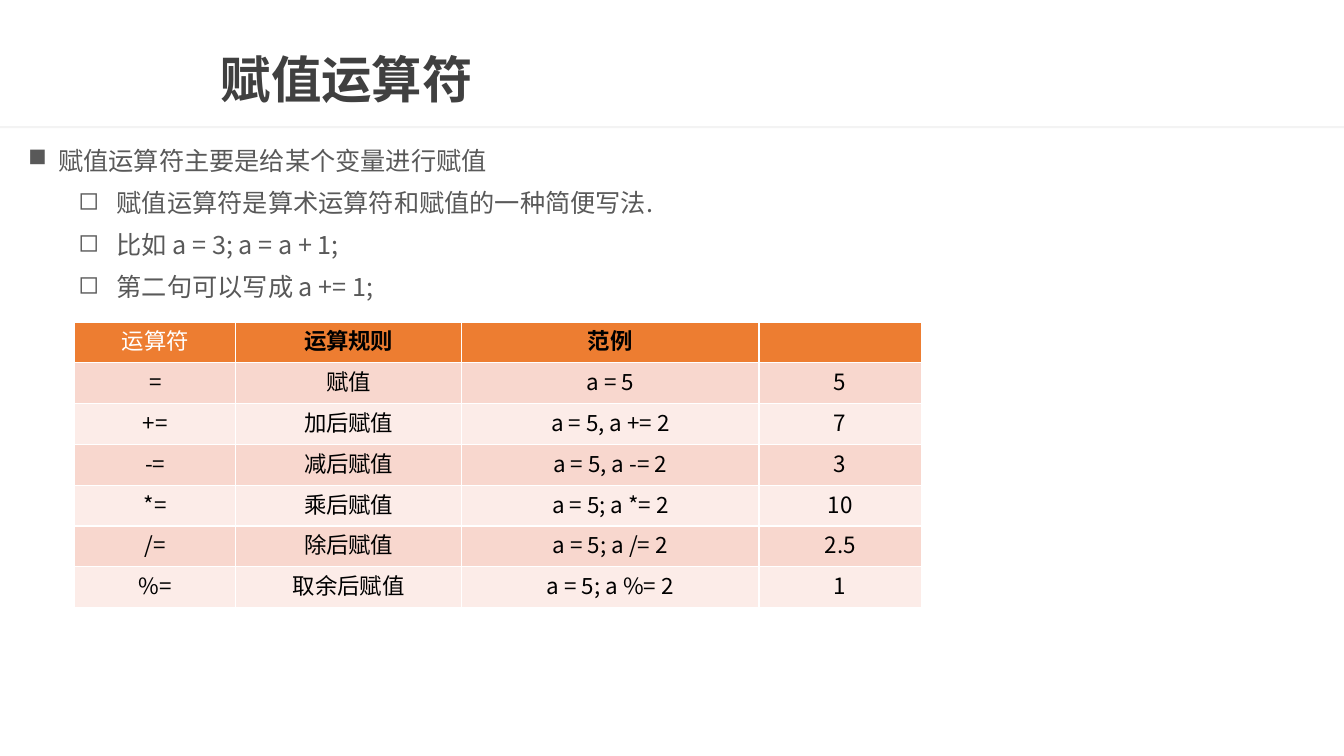
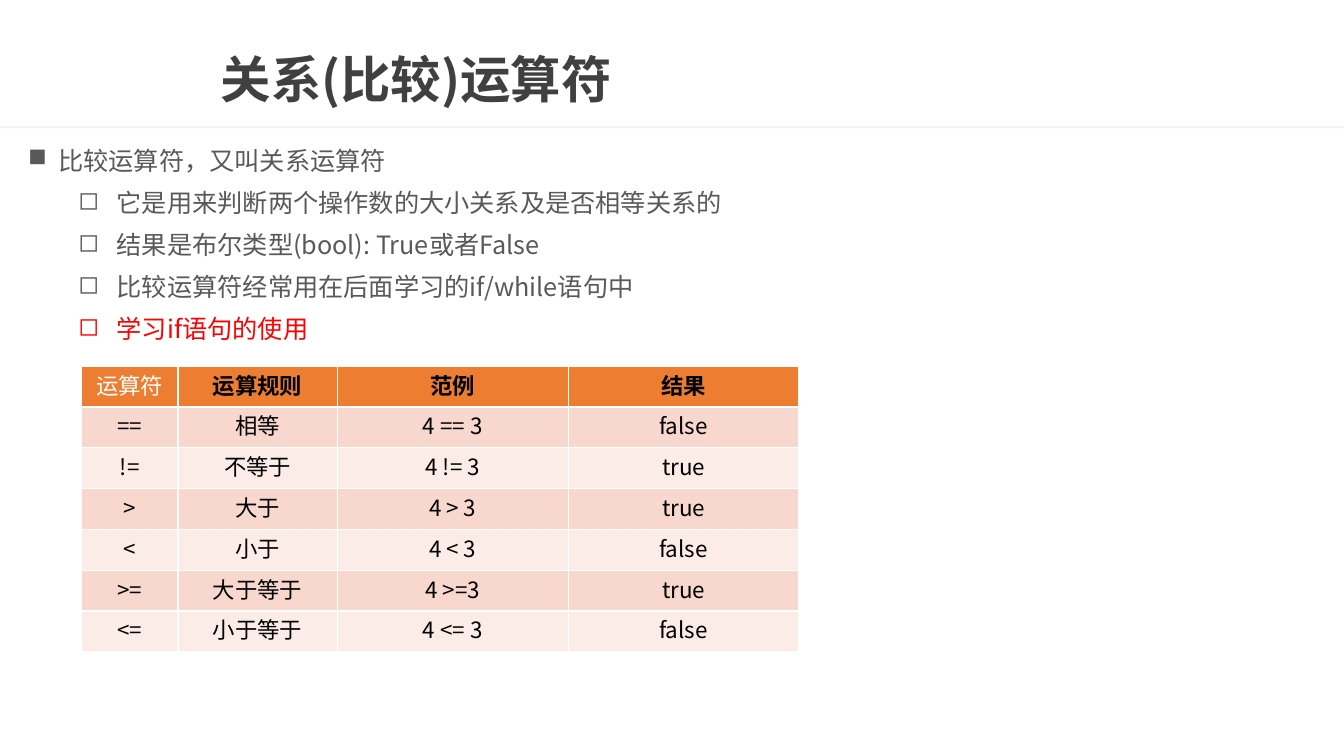
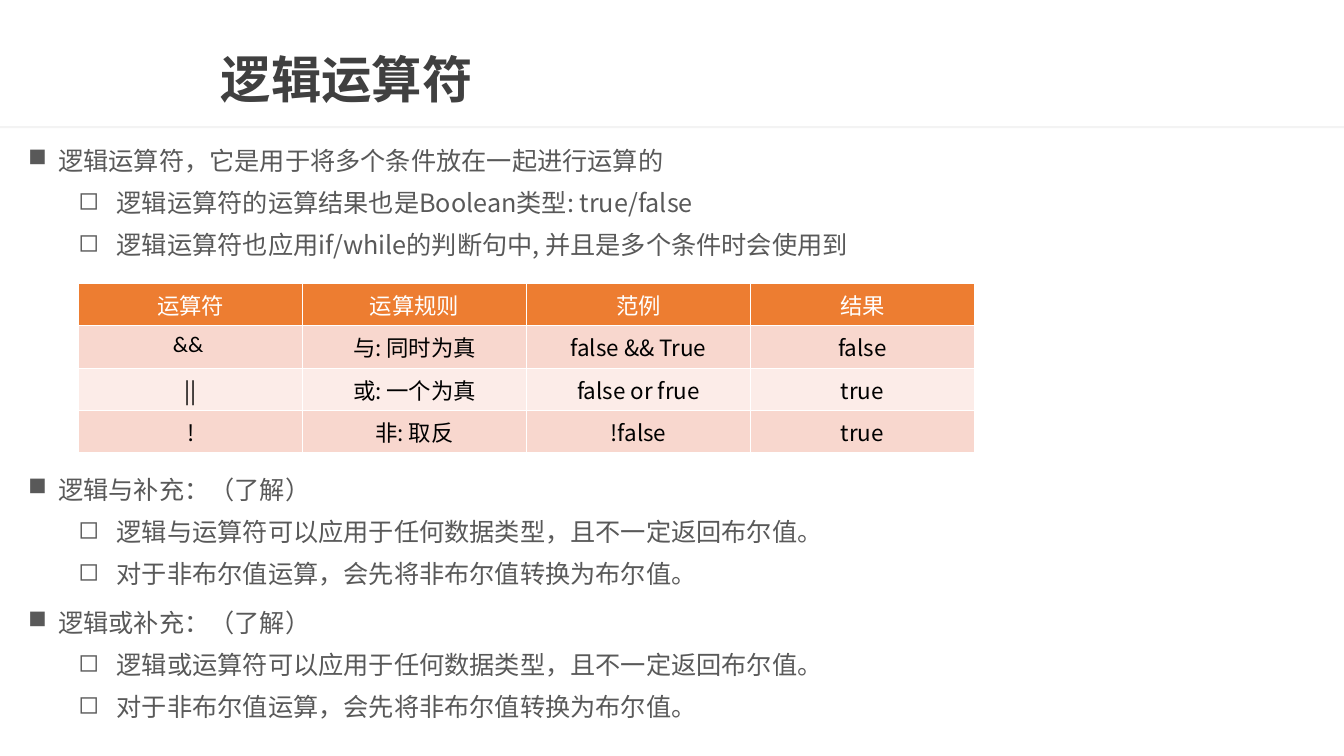
from collections import namedtuple

from pptx import Presentation
from pptx.dml.color import RGBColor
from pptx.enum.shapes import MSO_SHAPE
from pptx.enum.text import MSO_ANCHOR, PP_ALIGN
from pptx.oxml.ns import qn
from pptx.util import Inches, Pt
from lxml.etree import SubElement

Box = namedtuple("Box", "left top width height")
Level = namedtuple("Level", "bullet margin hanging space_before")

SLIDE_WIDTH, SLIDE_HEIGHT = Inches(13.33), Inches(7.5)
FONT, SYMBOL_FONT = "Noto Sans CJK SC", "Calibri"
TITLE_COLOR, NOTE_COLOR, ALERT_COLOR = "404040", "595959", "FF0000"
BLACK, WHITE, BAND_COLOR = "000000", "FFFFFF", "EAEAEA"
HEADER_FILL, ROW_FILLS = "ED7D31", ("F8D7CE", "FCECE8")
LEVELS = (Level("■", 0.3, 0.3, 10), Level("◻", 0.88, 0.38, 5))


def share(left, top, width, height):
    return Box(
        int(SLIDE_WIDTH * left / 100),
        int(SLIDE_HEIGHT * top / 100),
        int(SLIDE_WIDTH * width / 100),
        int(SLIDE_HEIGHT * height / 100),
    )


TITLE_BOX = share(15.68, 5.73, 82.75, 10.4)
BAND_BOX = share(0, 16.67, 100, 0.27)
NOTES_BOX = share(1.35, 18, 97.35, 79.33)


def paint(color_format, color):
    color_format.rgb = RGBColor.from_string(color)


def fill(target, color):
    target.fill.solid()
    paint(target.fill.fore_color, color)


def add_run(paragraph, text, size, color, bold=False, font=FONT):
    run = paragraph.add_run()
    run.text = text
    run.font.size = Pt(size)
    run.font.bold = bold
    run.font.name = font
    paint(run.font.color, color)
    SubElement(run.font._element, qn("a:ea"), typeface=font)


def add_text_frame(slide, box):
    frame = slide.shapes.add_textbox(*box).text_frame
    frame.word_wrap = True
    return frame


def add_heading(slide, title):
    band = slide.shapes.add_shape(MSO_SHAPE.RECTANGLE, *BAND_BOX)
    band.shadow.inherit = False
    band.line.fill.background()
    fill(band, BAND_COLOR)
    color = band.fill._xPr.find(".//" + qn("a:srgbClr"))
    SubElement(color, qn("a:alpha"), val="54000")

    frame = add_text_frame(slide, TITLE_BOX)
    frame.vertical_anchor = MSO_ANCHOR.MIDDLE
    paragraph = frame.paragraphs[0]
    paragraph.line_spacing = 0.9
    add_run(paragraph, title, 36, TITLE_COLOR, bold=True)


def add_note(paragraph, depth, text, color=NOTE_COLOR, extra_space=0):
    level = LEVELS[depth]
    paragraph.level = depth
    paragraph.line_spacing = Pt(25)
    paragraph.space_before = Pt(level.space_before + extra_space)
    properties = paragraph._p.get_or_add_pPr()
    properties.set("marL", str(Inches(level.margin)))
    properties.set("indent", str(-Inches(level.hanging)))
    SubElement(properties, qn("a:buChar"), char=level.bullet)
    add_run(paragraph, text, 18, color)


def add_notes(slide, notes):
    frame = add_text_frame(slide, NOTES_BOX)
    for index, note in enumerate(notes):
        paragraph = frame.add_paragraph() if index else frame.paragraphs[0]
        add_note(paragraph, *note)


def add_operator_table(slide, box, weights, rows, plain_headers=1, margins=None):
    table = slide.shapes.add_table(len(rows), len(weights), *box).table
    for column, weight in zip(table.columns, weights):
        column.width = int(box.width * weight / sum(weights))
    for row_index, row in enumerate(rows):
        for column_index, text in enumerate(row):
            cell = table.cell(row_index, column_index)
            is_header = row_index == 0
            is_bold = is_header and column_index >= plain_headers
            fill(cell, HEADER_FILL if is_header else ROW_FILLS[(row_index - 1) % 2])
            if margins:
                cell.margin_left = cell.margin_right = Inches(margins[0])
                cell.margin_top = cell.margin_bottom = Inches(margins[1])
            paragraph = cell.text_frame.paragraphs[0]
            paragraph.alignment = PP_ALIGN.CENTER
            if text:
                color = WHITE if is_header and not is_bold else BLACK
                font = SYMBOL_FONT if text.startswith("&&") else FONT
                add_run(paragraph, text, 16, color, is_bold, font)


def add_operator_slide(presentation, title, notes, **table):
    slide = presentation.slides.add_slide(presentation.slide_layouts[6])
    add_heading(slide, title)
    add_notes(slide, notes)
    add_operator_table(slide, **table)


def main():
    presentation = Presentation()
    presentation.slide_width, presentation.slide_height = SLIDE_WIDTH, SLIDE_HEIGHT
    tight = (0.04, 0.02)

    add_operator_slide(
        presentation,
        "赋值运算符",
        [
            (0, "赋值运算符主要是给某个变量进行赋值"),
            (1, "赋值运算符是算术运算符和赋值的一种简便写法."),
            (1, "比如 a = 3; a = a + 1;"),
            (1, "第二句可以写成 a += 1;"),
        ],
        box=share(5.55, 42.6, 63, 37.8),
        weights=(1.6, 2.24, 2.95, 1.61),
        rows=[
            ("运算符", "运算规则", "范例", ""),
            ("=", "赋值", "a = 5", "5"),
            ("+=", "加后赋值", "a = 5, a += 2", "7"),
            ("-=", "减后赋值", "a = 5, a -= 2", "3"),
            ("*=", "乘后赋值", "a = 5; a *= 2", "10"),
            ("/=", "除后赋值", "a = 5; a /= 2", "2.5"),
            ("%=", "取余后赋值", "a = 5; a %= 2", "1"),
        ],
        margins=tight,
    )

    add_operator_slide(
        presentation,
        "关系(比较)运算符",
        [
            (0, "比较运算符，又叫关系运算符"),
            (1, "它是用来判断两个操作数的大小关系及是否相等关系的"),
            (1, "结果是布尔类型(bool): True或者False"),
            (1, "比较运算符经常用在后面学习的if/while语句中"),
            (1, "学习if语句的使用", ALERT_COLOR),
        ],
        box=share(6.05, 48.45, 53.4, 37.8),
        weights=(0.96, 1.58, 2.29, 2.29),
        rows=[
            ("运算符", "运算规则", "范例", "结果"),
            ("==", "相等", "4 == 3", "false"),
            ("!=", "不等于", "4 != 3", "true"),
            (">", "大于", "4 > 3", "true"),
            ("<", "小于", "4 < 3", "false"),
            (">=", "大于等于", "4 >=3", "true"),
            ("<=", "小于等于", "4 <= 3", "false"),
        ],
        margins=tight,
    )

    add_operator_slide(
        presentation,
        "逻辑运算符",
        [
            (0, "逻辑运算符，它是用于将多个条件放在一起进行运算的"),
            (1, "逻辑运算符的运算结果也是Boolean类型: true/false"),
            (1, "逻辑运算符也应用if/while的判断句中, 并且是多个条件时会使用到"),
            (0, "逻辑与补充：（了解）", NOTE_COLOR, 140),
            (1, "逻辑与运算符可以应用于任何数据类型，且不一定返回布尔值。"),
            (1, "对于非布尔值运算，会先将非布尔值转换为布尔值。"),
            (0, "逻辑或补充：（了解）"),
            (1, "逻辑或运算符可以应用于任何数据类型，且不一定返回布尔值。"),
            (1, "对于非布尔值运算，会先将非布尔值转换为布尔值。"),
        ],
        box=share(5.85, 37.5, 66.65, 22.4),
        weights=(1, 1, 1, 1),
        rows=[
            ("运算符", "运算规则", "范例", "结果"),
            ("&& ", "与: 同时为真", "false && True", "false"),
            ("||", "或: 一个为真", "false or frue", "true"),
            ("!", "非: 取反", "!false", "true"),
        ],
        plain_headers=4,
    )

    presentation.save("out.pptx")


if __name__ == "__main__":
    main()
